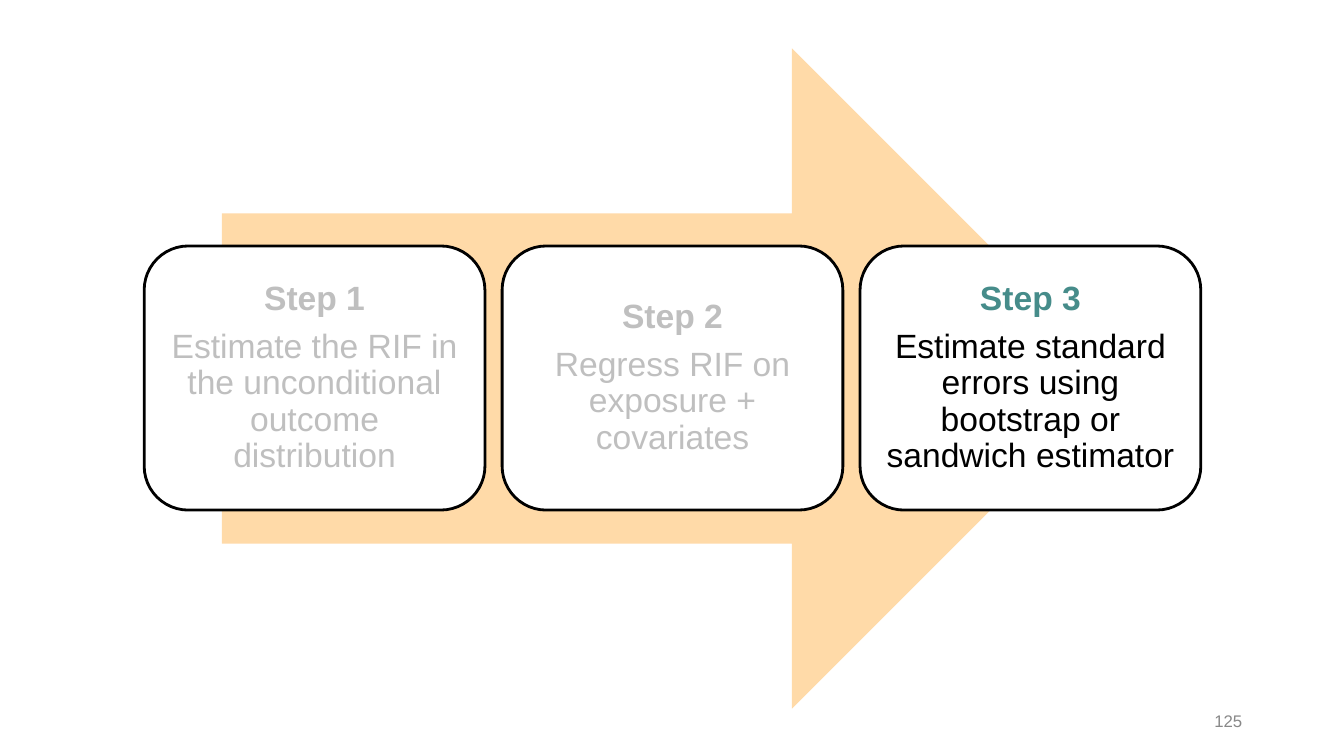
from pptx import Presentation
from pptx.dml.color import RGBColor
from pptx.enum.shapes import MSO_SHAPE
from pptx.enum.text import MSO_ANCHOR, PP_ALIGN
from pptx.oxml.ns import qn
from pptx.util import Inches, Pt
from lxml import etree

COLORS = {
    "arrow": "FF9300", "card": "FFFFFF", "edge": "000000",
    "text": "000000", "faded": "BFBFBF", "accent": "468C8A", "page": "888888",
}
STEPS = [
    ("Step 1", "Estimate the RIF in the unconditional outcome distribution", "faded", "faded"),
    ("Step 2", "Regress RIF on exposure + covariates", "faded", "faded"),
    ("Step 3", "Estimate standard errors using bootstrap or sandwich estimator", "accent", "text"),
]
LEFT, PITCH = 1.43, 3.55


class Deck:
    """Holds the style and the current slide."""
    face = "Arial"

    def __init__(self, slide):
        self.slide = slide

    def color(self, name):
        return RGBColor.from_string(COLORS[name])

    def font(self, para, size, color, bold=False):
        para.font.name = self.face
        para.font.size = Pt(size)
        para.font.bold = bold
        para.font.color.rgb = self.color(color)

    def shape(self, kind, box, fill):
        shape = self.slide.shapes.add_shape(kind, *map(Inches, box))
        shape.shadow.inherit = False
        shape.fill.solid()
        shape.fill.fore_color.rgb = self.color(fill)
        shape.line.fill.background()
        return shape

    def arrow(self, box, alpha):
        arrow = self.shape(MSO_SHAPE.RIGHT_ARROW, box, "arrow")
        tint = arrow.fill._xPr.find(".//" + qn("a:srgbClr"))
        etree.SubElement(tint, qn("a:alpha"), val=str(alpha * 1000))

    def card(self, box, title, body, head, tone):
        card = self.shape(MSO_SHAPE.ROUNDED_RECTANGLE, box, "card")
        card.line.color.rgb = self.color("edge")
        card.line.width = Pt(2)
        frame = card.text_frame
        frame.word_wrap = True
        frame.vertical_anchor = MSO_ANCHOR.MIDDLE
        frame.margin_left = frame.margin_right = Inches(0.1)
        frame.margin_top = frame.margin_bottom = Inches(0.1)
        rows = [(frame.paragraphs[0], title, head, True),
                (frame.add_paragraph(), body, tone, False)]
        for para, text, color, bold in rows:
            para.text = text
            para.alignment = PP_ALIGN.CENTER
            para.line_spacing = 0.9
            para.space_after = Pt(8.4)
            self.font(para, 24, color, bold)

    def page(self, box, number):
        frame = self.slide.shapes.add_textbox(*map(Inches, box)).text_frame
        frame.word_wrap = True
        frame.vertical_anchor = MSO_ANCHOR.MIDDLE
        para = frame.paragraphs[0]
        para.text = number
        para.alignment = PP_ALIGN.RIGHT
        self.font(para, 12, "page")


def main():
    prs = Presentation()
    prs.slide_width, prs.slide_height = Inches(13.33), Inches(7.5)
    deck = Deck(prs.slides.add_slide(prs.slide_layouts[6]))
    deck.page((9.42, 6.95, 3, 0.4), "125")
    deck.arrow((2.2, 0.48, 8.93, 6.55), 34)
    for i, step in enumerate(STEPS):
        deck.card((LEFT + i * PITCH, 2.44, 3.38, 2.62), *step)
    prs.save("out.pptx")


if __name__ == "__main__":
    main()
